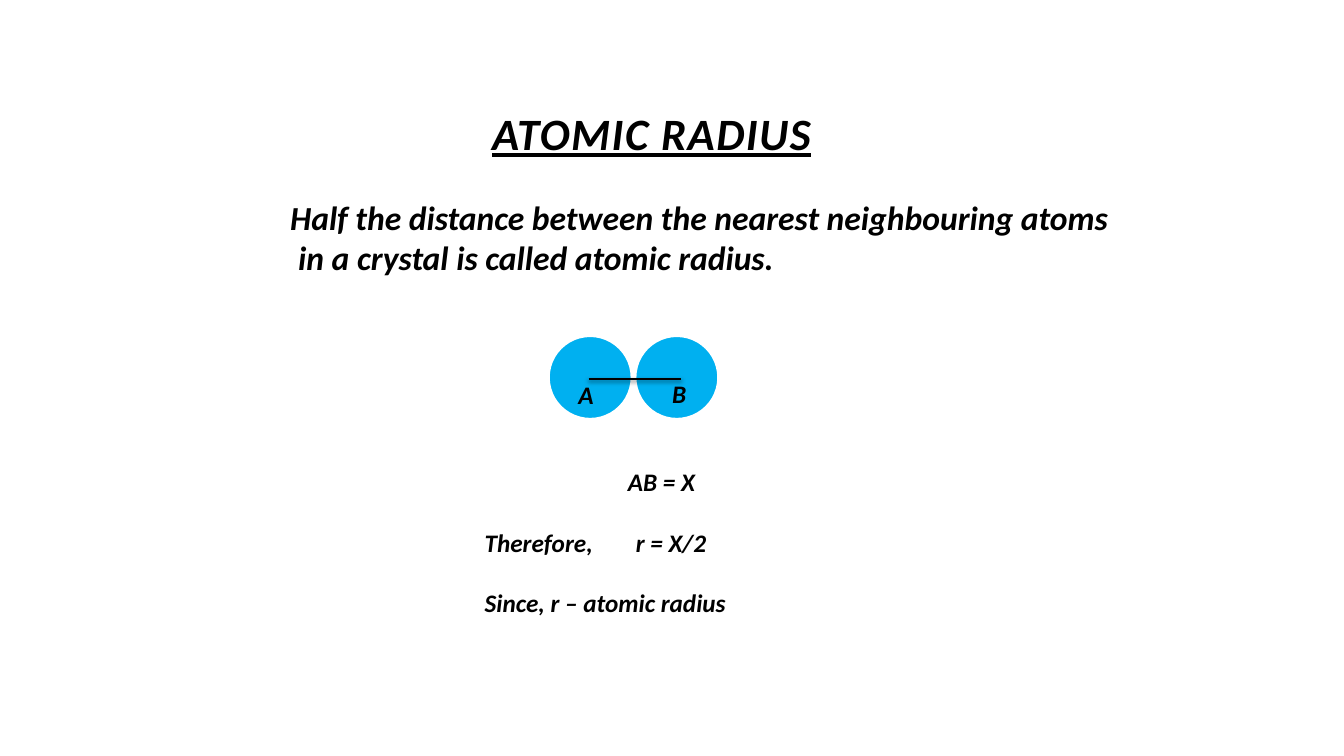
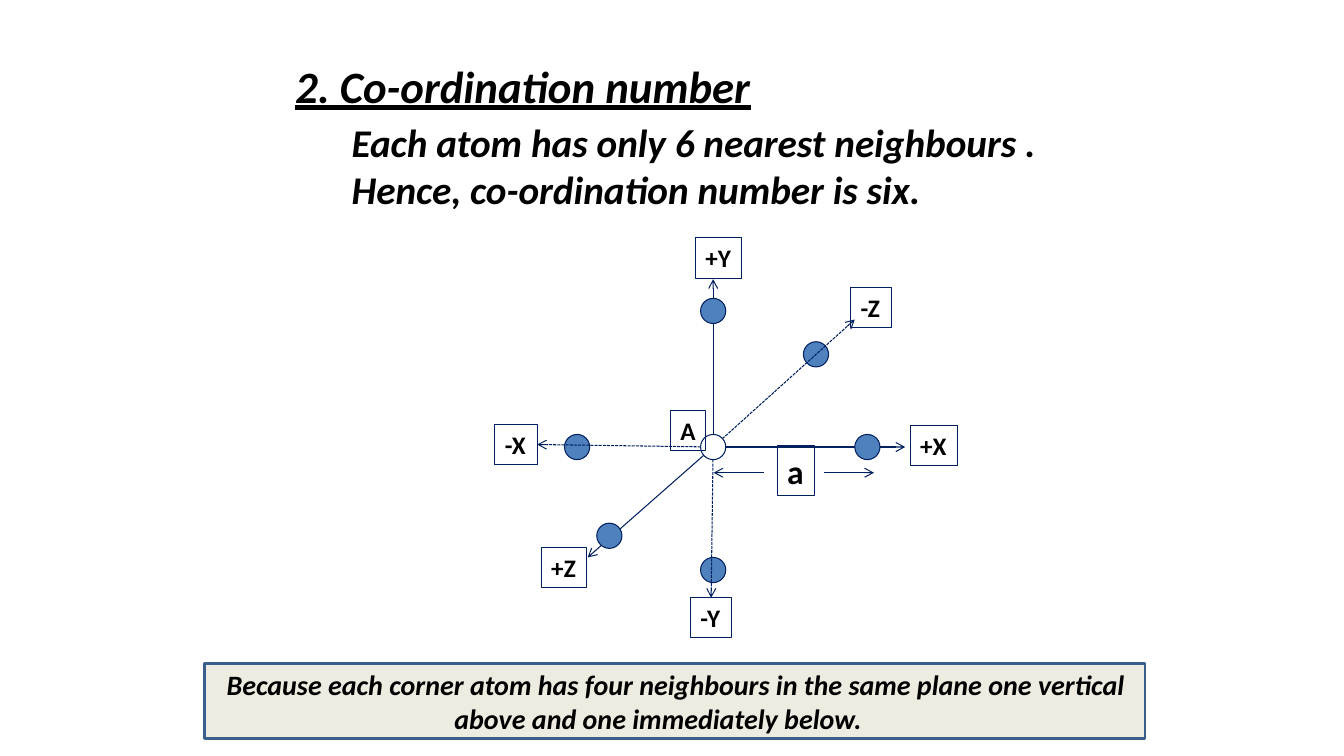
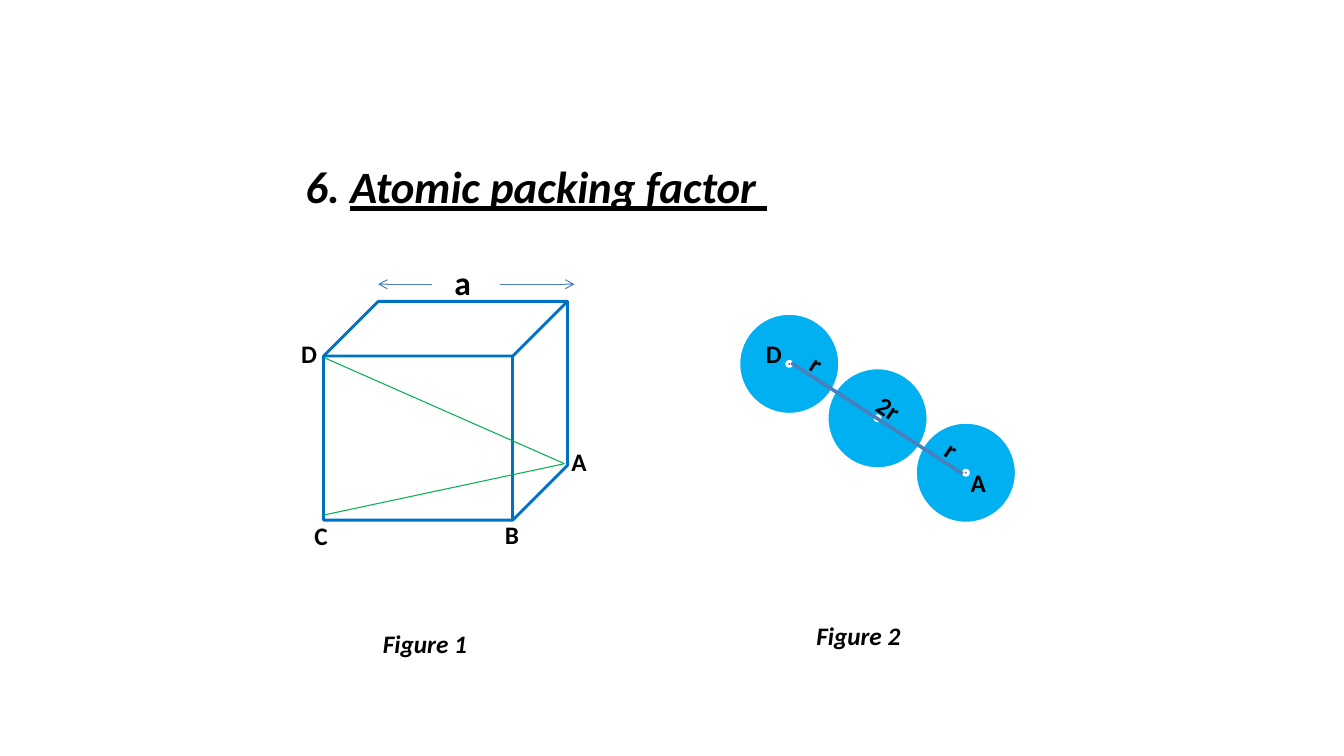
from dataclasses import dataclass

from lxml.etree import SubElement
from pptx import Presentation
from pptx.dml.color import RGBColor
from pptx.enum.dml import MSO_LINE
from pptx.enum.shapes import MSO_CONNECTOR, MSO_SHAPE
from pptx.enum.text import MSO_ANCHOR, MSO_AUTO_SIZE, PP_ALIGN
from pptx.oxml.ns import qn
from pptx.util import Inches, Pt

# The grid has square cells, a tenth of an inch wide.
COLUMNS, ROWS = 133.33, 75
FONT = "Calibri"
BLACK, WHITE = "000000", "FFFFFF"
SKY, NAVY, STEEL, MID_BLUE = "00B0F0", "002060", "4F81BD", "4B7EBC"
CUBE_BLUE, GREEN, CREAM, FRAME_BLUE = "0070C0", "00B050", "EEECE1", "3A5F8C"
TITLE_SIZE, LABEL_SIZE, LARGE_LABEL_SIZE = 32, 18, 24
LABEL_HEIGHT = 4


@dataclass
class Line:
    """One paragraph: a plain run, then an underlined run."""
    text: str = ""
    underlined: str = ""
    indent: float = 0
    tab: float = 0


def cells(count):
    return Inches(count / 10)


def color(value):
    return RGBColor.from_string(value)


def write(frame, lines, size, italic=True, gap=0, align=PP_ALIGN.LEFT):
    for index, line in enumerate(lines):
        paragraph = frame.add_paragraph() if index else frame.paragraphs[0]
        paragraph.alignment = align
        if index and gap:
            paragraph.space_before = Pt(gap)
        properties = paragraph._p.get_or_add_pPr()
        properties.set("marL", str(cells(line.indent)))
        properties.set("indent", "0")
        if line.tab:
            stops = SubElement(properties, qn("a:tabLst"))
            SubElement(stops, qn("a:tab"), pos=str(cells(line.tab)), algn="l")
        for text, underline in ((line.text, False), (line.underlined, True)):
            if text:
                run = paragraph.add_run()
                run.text = text
                run.font.name = FONT
                run.font.size = Pt(size)
                run.font.bold = True
                run.font.italic = italic
                run.font.underline = underline
                run.font.color.rgb = color(BLACK)


def add_text(slide, left, top, width, height, lines, size, wrap=False, **style):
    box = slide.shapes.add_textbox(*map(cells, (left, top, width, height)))
    box.text_frame.word_wrap = wrap
    box.text_frame.auto_size = MSO_AUTO_SIZE.SHAPE_TO_FIT_TEXT
    write(box.text_frame, lines, size, **style)
    return box


def add_title(slide, left, top, width, line, **style):
    return add_text(slide, left, top, width, 6.4, [line], TITLE_SIZE, **style)


def add_label(slide, left, top, width, text, size=LABEL_SIZE, italic=False):
    height = LABEL_HEIGHT if size == LABEL_SIZE else 5
    return add_text(slide, left, top, width, height, [Line(text)], size,
                    italic=italic)


def add_figure(slide, kind, left, top, width, height, fill, line, weight):
    shape = slide.shapes.add_shape(kind, *map(cells, (left, top, width, height)))
    shape.shadow.inherit = False
    if fill:
        shape.fill.solid()
        shape.fill.fore_color.rgb = color(fill)
    else:
        shape.fill.background()
    shape.line.color.rgb = color(line)
    shape.line.width = Pt(weight)
    return shape


def add_circle(slide, center, diameter, fill, line=WHITE, weight=2):
    x, y = center
    return add_figure(slide, MSO_SHAPE.OVAL, x - diameter / 2, y - diameter / 2,
                      diameter, diameter, fill, line, weight)


def add_framed_label(slide, left, top, width, text, size=LABEL_SIZE):
    height = LABEL_HEIGHT if size == LABEL_SIZE else 5
    shape = add_figure(slide, MSO_SHAPE.RECTANGLE, left, top, width, height,
                       None, NAVY, 0.75)
    shape.text_frame.word_wrap = False
    shape.text_frame.vertical_anchor = MSO_ANCHOR.TOP
    write(shape.text_frame, [Line(text)], size, italic=False)
    return shape


def add_line(slide, start, end, line, weight=0.75, arrow=False, dashed=False,
             shadow=False):
    connector = slide.shapes.add_connector(
        MSO_CONNECTOR.STRAIGHT, *map(cells, (*start, *end)))
    connector.line.color.rgb = color(line)
    connector.line.width = Pt(weight)
    if dashed:
        connector.line.dash_style = MSO_LINE.SQUARE_DOT
    properties = connector._element.spPr
    if arrow:
        SubElement(properties.find(qn("a:ln")), qn("a:tailEnd"), type="arrow")
    effects = SubElement(properties, qn("a:effectLst"))
    if shadow:
        outer = SubElement(effects, qn("a:outerShdw"), blurRad=str(Pt(3.1)),
                           dist=str(Pt(1.6)), dir="5400000", rotWithShape="0")
        shade = SubElement(outer, qn("a:srgbClr"), val=BLACK)
        SubElement(shade, qn("a:alpha"), val="38000")
    return connector


def build_atomic_radius(slide):
    title = add_title(slide, 47.6, 10, 34.1, Line(underlined="ATOMIC RADIUS"),
                      align=PP_ALIGN.CENTER)
    run = title.text_frame.paragraphs[0].runs[0]
    run._r.get_or_add_rPr().set("spc", "100")
    add_text(slide, 27.8, 19, 83.8, 9.1, [
        Line("Half the distance between the nearest neighbouring atoms"),
        Line("in a crystal is called atomic radius.", indent=0.8)], 24)
    for x in (58.55, 67.15):
        add_circle(slide, (x, 37.45), 8.3, SKY)
    add_line(slide, (58.4, 37.6), (67.6, 37.6), BLACK, 2, shadow=True)
    add_label(slide, 56.4, 37.1, 3.5, "A", italic=True)
    add_label(slide, 65.7, 37, 3.4, "B", italic=True)
    add_text(slide, 47.1, 45.8, 35, 16, [
        Line("AB = X", indent=14.2),
        Line("Therefore,\tr = X/2", tab=13.6),
        Line("Since, r – atomic radius")], LABEL_SIZE, wrap=True, gap=21.6)


def add_axis(slide, start, end, label, dashed, joined_side):
    axis = add_line(slide, start, end, NAVY, arrow=True, dashed=dashed)
    framed = add_framed_label(slide, *label)
    if joined_side is not None:
        axis.end_connect(framed, joined_side)


def build_coordination_number(slide):
    add_text(slide, 28.7, 11.2, 75.5, 10.4, [
        Line("Each atom has only 6 nearest neighbours .", indent=5.2),
        Line("Hence, co-ordination number is six.", indent=5.2)], 28, wrap=True)
    reason = add_figure(slide, MSO_SHAPE.RECTANGLE, 20.3, 65.8, 93.3, 7.5,
                        CREAM, FRAME_BLUE, 2)
    reason.text_frame.vertical_anchor = MSO_ANCHOR.MIDDLE
    reason.text_frame.word_wrap = True
    write(reason.text_frame, [
        Line("Because each corner atom has four neighbours in the same plane "
             "one vertical", indent=1.2),
        Line("above and one immediately below.", indent=23.8)], 20)
    add_title(slide, 28.3, 5.3, 47.6, Line(underlined="2. Co-ordination number"))

    origin = (70.75, 44.35)
    # Arrow end, label (left, top, width, text), side of the label it joins.
    solid_axes = [
        ((89.8, 44.35), (90.3, 42.2, 4.7, "+X"), None),
        ((58.3, 55.3), (53.7, 54.3, 4.5, "+Z"), None),
        ((70.75, 27.7), (69, 23.6, 4.6, "+Y"), None)]
    dashed_axes = [
        ((53.2, 44.35), (49.1, 42.1, 4.2, "-X"), 3),
        ((70.7, 59.3), (68.5, 59.3, 4.1, "-Y"), 0),
        ((84.8, 31.7), (84.4, 28.5, 4, "-Z"), None)]
    neighbours = [(60.45, 53.15), (70.75, 30.85), (80.95, 35.15),
                  (70.75, 56.55), (57.25, 44.35), (86.05, 44.35)]
    for end, label, side in solid_axes:
        add_axis(slide, origin, end, label, False, side)
    for center in neighbours:
        add_circle(slide, center, 2.5, STEEL, NAVY, 0.75)
    for end, label, side in dashed_axes:
        add_axis(slide, origin, end, label, True, side)
    add_circle(slide, origin, 2.5, WHITE, NAVY, 0.75)
    add_framed_label(slide, 66.5, 40.7, 3.5, "A")
    for start, end in ((81.7, 86.7), (75.8, 70.8)):
        add_line(slide, (start, 46.9), (end, 46.9), NAVY, arrow=True)
    add_framed_label(slide, 77.1, 44.2, 3.7, "a", LARGE_LABEL_SIZE)


def draw_cube(slide):
    add_figure(slide, MSO_SHAPE.CUBE, 32.1, 29.9, 24.2, 21.7, None, CUBE_BLUE, 2)
    for left, top, text in ((55.7, 43.8, "A"), (28.9, 33.1, "D"),
                            (30.2, 51.1, "C"), (49.1, 51, "B")):
        add_label(slide, left, top, 4.3, text).text_frame.word_wrap = True
    for start, end in ((49.6, 57), (42.9, 37.5)):
        add_line(slide, (start, 28.2), (end, 28.2), MID_BLUE, arrow=True)
    add_label(slide, 44.1, 25.5, 3.7, "a", LARGE_LABEL_SIZE)
    for start in ((32.1, 51.1), (32.2, 35.5)):
        add_line(slide, start, (56, 46), GREEN)
    add_label(slide, 37, 61.8, 10.5, "Figure 1", italic=True)


def draw_atom_row(slide):
    for step in range(3):
        center = (78.3 + 8.76 * step, 36.1 + 5.4 * step)
        add_circle(slide, center, 10, SKY)
        add_circle(slide, center, 0.5, STEEL)
    for left, top, width, text in ((79.6, 34.1, 2.9, "r"), (86.1, 38.5, 4.2, "2r"),
                                   (93, 42.6, 2.9, "r")):
        add_label(slide, left, top, width, text).rotation = 33.7
    add_label(slide, 75, 33.1, 3.6, "D")
    add_label(slide, 95.3, 45.9, 3.5, "A")
    add_line(slide, (78.5, 36), (95.5, 47), MID_BLUE, 2.5)
    add_label(slide, 80, 61, 10.5, "Figure 2", italic=True)


def build_packing_factor(slide):
    add_title(slide, 29.3, 15.3, 48.2, Line("6. ", "Atomic packing factor "))
    draw_cube(slide)
    draw_atom_row(slide)


def main():
    presentation = Presentation()
    presentation.slide_width = cells(COLUMNS)
    presentation.slide_height = cells(ROWS)
    blank = presentation.slide_layouts[6]
    for build in (build_atomic_radius, build_coordination_number,
                  build_packing_factor):
        build(presentation.slides.add_slide(blank))
    presentation.save("out.pptx")


if __name__ == "__main__":
    main()
